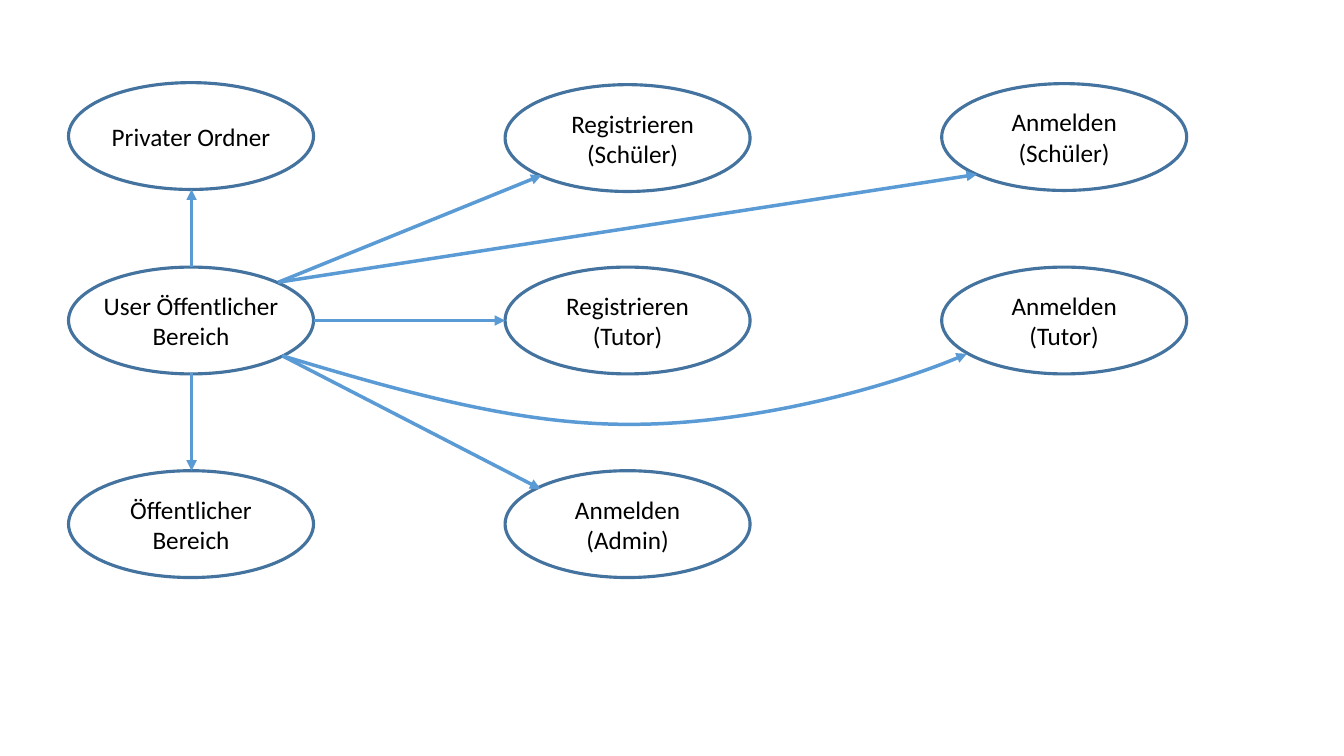
from pptx import Presentation
from pptx.dml.color import RGBColor
from pptx.enum.shapes import MSO_CONNECTOR as Link, MSO_SHAPE as Shape
from pptx.enum.text import MSO_ANCHOR as Anchor, PP_ALIGN as Align
from pptx.oxml.ns import qn
from pptx.util import Inches, Pt
from lxml.etree import SubElement

COLORS = {"fill": "FFFFFF", "edge": "43739E", "arrow": "5B9BD5", "text": "000000"}
FONT, SIZE = "Calibri", 18
WIDTH, HEIGHT = 2.43, 1.06
LABEL = 2.2
COLS = [0.68 + 4.33 * i for i in range(3)]

# paragraphs, column, top, text lines, label shift to the right
NODES = [
    (["User Öffentlicher Bereich"], 0, 2.65, 2, 0),
    (["Registrieren", "(Schüler)"], 1, 0.84, 2, 0.05),
    (["Registrieren", "(Tutor)"], 1, 2.65, 2, 0),
    (["Anmelden", "(Admin)"], 1, 4.67, 2, 0),
    (["Anmelden", "(Schüler)"], 2, 0.83, 2, 0),
    (["Anmelden", "(Tutor)"], 2, 2.65, 2, 0),
    (["Öffentlicher Bereich"], 0, 4.67, 2, 0),
    (["Privater Ordner"], 0, 0.82, 1, 0),
]
ARROWS = [
    ((2.76, 2.8), (5.37, 1.74)),
    ((2.76, 2.8), (9.69, 1.73)),
    ((2.8, 3.53), (5.36, 4.85)),
    ((3.11, 3.18), (5.01, 3.18)),
    ((1.9, 3.7), (1.9, 4.67)),
    ((1.9, 2.65), (1.9, 1.88)),
]
# start point, then two control points and an end point per curve
CURVE = [(2.8, 3.53), (3.97, 3.88), (5.14, 4.22), (6.27, 4.21),
         (7.4, 4.21), (8.82, 3.85), (9.59, 3.51)]


def color(name):
    """Return a named colour."""
    return RGBColor.from_string(COLORS[name])


def add_node(slide, texts, col, top, lines, shift):
    """Draw an ellipse with its label centred on it."""
    left = COLS[col]
    oval = slide.shapes.add_shape(
        Shape.OVAL, Inches(left), Inches(top), Inches(WIDTH), Inches(HEIGHT))
    oval.shadow.inherit = False
    oval.fill.solid()
    oval.fill.fore_color.rgb = color("fill")
    oval.line.color.rgb = color("edge")
    oval.line.width = Pt(2.25)

    tall = 0.1 + 0.3 * lines
    label = slide.shapes.add_textbox(
        Inches(left + (WIDTH - LABEL) / 2 + shift),
        Inches(top + (HEIGHT - tall) / 2), Inches(LABEL), Inches(tall))
    frame = label.text_frame
    frame.word_wrap = True
    frame.vertical_anchor = Anchor.MIDDLE
    frame.text = "\n".join(texts)
    for para in frame.paragraphs:
        para.alignment = Align.CENTER
        para.font.name = FONT
        para.font.size = Pt(SIZE)
        para.font.color.rgb = color("text")


def style_arrow(item):
    """Give a line its colour, width and arrowhead, without a shadow."""
    item.line.color.rgb = color("arrow")
    item.line.width = Pt(2.5)
    SubElement(item.line._get_or_add_ln(), qn("a:tailEnd"), type="triangle")
    SubElement(item._element.spPr, qn("a:effectLst"))


def add_arrow(slide, start, end):
    """Draw a straight arrow."""
    ends = [Inches(v) for v in start + end]
    style_arrow(slide.shapes.add_connector(Link.STRAIGHT, *ends))


def add_curve(slide, points):
    """Draw a curved arrow by joining each three line steps into a Bezier."""
    first, *rest = [(Inches(x), Inches(y)) for x, y in points]
    build = slide.shapes.build_freeform(*first)
    build.add_line_segments(rest, close=False)
    curve = build.convert_to_shape()
    curve.fill.background()
    steps = list(curve._element.iter(qn("a:lnTo")))
    route = steps[0].getparent()
    for i in range(0, len(steps), 3):
        bend = SubElement(route, qn("a:cubicBezTo"))
        for step in steps[i:i + 3]:
            bend.append(step[0])
            route.remove(step)
    style_arrow(curve)


deck = Presentation()
deck.slide_width, deck.slide_height = Inches(13.33), Inches(7.5)
slide = deck.slides.add_slide(deck.slide_layouts[6])
for node in NODES:
    add_node(slide, *node)
for arrow in ARROWS:
    add_arrow(slide, *arrow)
add_curve(slide, CURVE)
deck.save("out.pptx")
